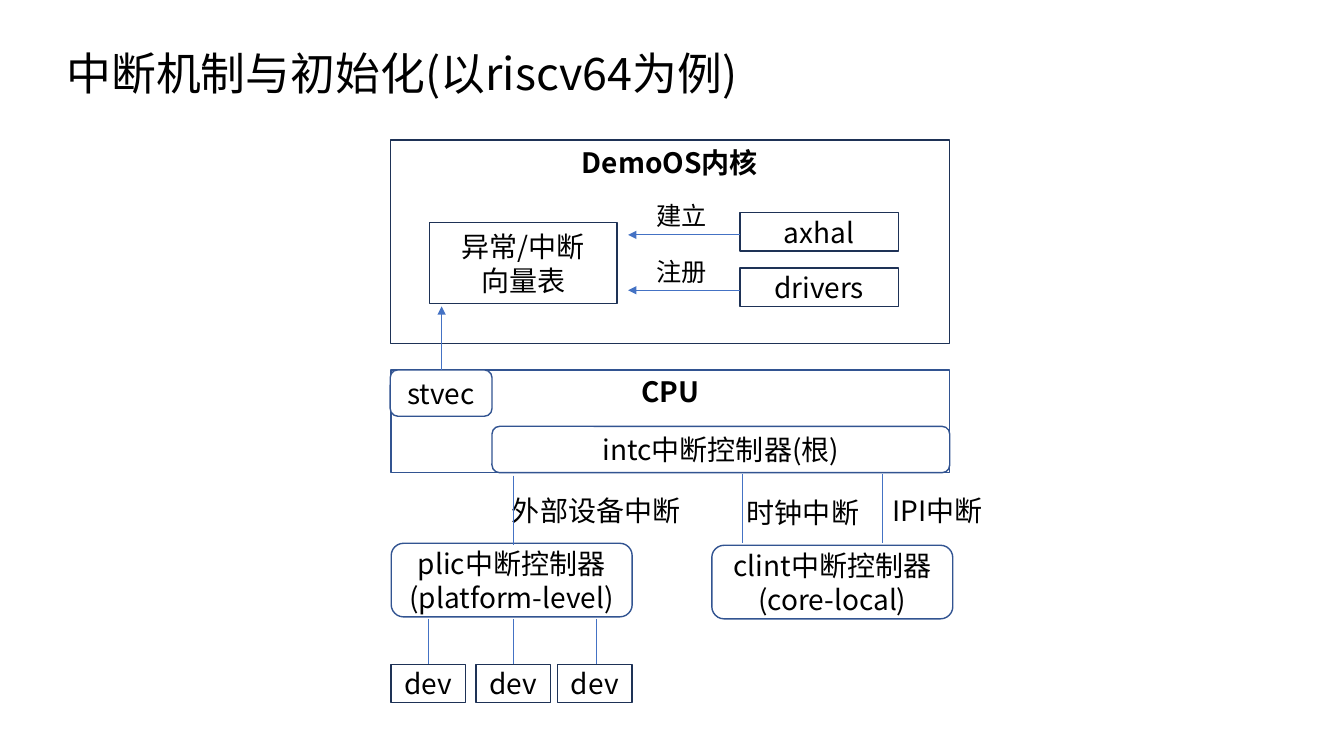
import pptx
import pptx.util
import pptx.dml.color
import pptx.enum.shapes
import pptx.enum.text
import pptx.oxml.ns
from collections import namedtuple
from lxml import etree

TITLE = "中断机制与初始化(以riscv64为例)", (56, 40, 760, 64)

# kind, text, (left, top, width, height), back to front
BOXES = [
    ("head", "CPU", (388, 367, 554, 102)),
    ("round", "intc中断控制器(根)", (488, 423, 454, 46)),
    ("round", "clint中断控制器\n(core-local)", (706, 541, 239, 73)),
    ("frame", "DemoOS内核", (387, 139, 555, 202)),
    ("round", "stvec", (387, 367, 101, 46)),
    ("box", "异常/中断\n向量表", (426, 221, 186, 80)),
    ("box", "axhal", (734, 211, 157, 38)),
    ("box", "drivers", (734, 266, 157, 38)),
    ("round", "plic中断控制器\n(platform-level)", (388, 539, 239, 73)),
]
BOXES += [("box", "dev", (left, 659, 74, 38)) for left in (388, 472, 553)]

# text, (left, top, width, height), size
LABELS = [
    ("外部设备中断", (498, 485, 197, 44), "body"),
    ("时钟中断", (731, 487, 133, 44), "body"),
    ("IPI中断", (875, 485, 126, 44), "body"),
    ("建立", (641, 194, 79, 40), "small"),
    ("注册", (641, 249, 79, 40), "small"),
]

# start x, start y, end x, end y
ARROWS = [(734, 233, 623, 233), (734, 288, 623, 288), (438, 367, 438, 304)]
WIRES = [(875, 470, 875, 539), (736, 470, 736, 539), (509, 472, 509, 541)]
WIRES += [(x, 614, x, 659) for x in (425, 509, 592)]

Theme = namedtuple("Theme", "font text fill dark edge wire title body small")
THEME = Theme("Noto Sans CJK SC", "000000", "FFFFFF", "1E3256", "325491",
              "4472C4", 32, 20, 18)

SHAPE = pptx.enum.shapes.MSO_SHAPE
ANCHOR = pptx.enum.text.MSO_ANCHOR
ALIGN = pptx.enum.text.PP_ALIGN
# kind: preset, line colour, anchor, bold
KINDS = {
    "head": (SHAPE.RECTANGLE, THEME.edge, ANCHOR.TOP, True),
    "frame": (SHAPE.RECTANGLE, THEME.dark, ANCHOR.TOP, True),
    "box": (SHAPE.RECTANGLE, THEME.dark, ANCHOR.MIDDLE, False),
    "round": (SHAPE.ROUNDED_RECTANGLE, THEME.edge, ANCHOR.MIDDLE, False),
}


def px(*nums):
    return [pptx.util.Emu(n * 9144) for n in nums]


def rgb(code):
    return pptx.dml.color.RGBColor.from_string(code)


def sub(node, tag, **attrs):
    etree.SubElement(node, pptx.oxml.ns.qn(tag), **attrs)


def write(shape, text, size, align, anchor, bold=False):
    frame = shape.text_frame
    frame.text = text
    frame.word_wrap = True
    frame.auto_size = pptx.enum.text.MSO_AUTO_SIZE.NONE
    frame.vertical_anchor = anchor
    for para in frame.paragraphs:
        para.alignment = align
        font = para.font
        font.size = pptx.util.Pt(getattr(THEME, size))
        font.bold = bold
        font.color.rgb = rgb(THEME.text)
        font.name = THEME.font
        # East Asian glyphs take their own typeface entry
        sub(para._p.pPr.find(pptx.oxml.ns.qn("a:defRPr")), "a:ea",
            typeface=THEME.font)


def add_box(slide, kind, text, area):
    preset, edge, anchor, bold = KINDS[kind]
    shape = slide.shapes.add_shape(preset, *px(*area))
    shape.shadow.inherit = False
    shape.fill.solid()
    shape.fill.fore_color.rgb = rgb(THEME.fill)
    shape.line.color.rgb = rgb(edge)
    shape.line.width = pptx.util.Pt(1)
    write(shape, text, "body", ALIGN.CENTER, anchor, bold)


def add_wire(slide, ends, arrow=False):
    wire = slide.shapes.add_connector(
        pptx.enum.shapes.MSO_CONNECTOR.STRAIGHT, *px(*ends))
    wire.line.color.rgb = rgb(THEME.wire)
    wire.line.width = pptx.util.Pt(0.5)
    props = wire._element.spPr
    if arrow:
        sub(props.find(pptx.oxml.ns.qn("a:ln")), "a:tailEnd", type="triangle")
    sub(props, "a:effectLst")


def main():
    deck = pptx.Presentation()
    deck.slide_width, deck.slide_height = px(1333, 750)
    slide = deck.slides.add_slide(deck.slide_layouts[5])

    text, area = TITLE
    title = slide.shapes.title
    title.left, title.top, title.width, title.height = px(*area)
    write(title, text, "title", ALIGN.LEFT, ANCHOR.TOP)

    for kind, text, area in BOXES:
        add_box(slide, kind, text, area)
    for text, area, size in LABELS:
        label = slide.shapes.add_textbox(*px(*area))
        write(label, text, size, ALIGN.LEFT, ANCHOR.TOP)
    for ends in ARROWS:
        add_wire(slide, ends, arrow=True)
    for ends in WIRES:
        add_wire(slide, ends)

    deck.save("out.pptx")


if __name__ == "__main__":
    main()
